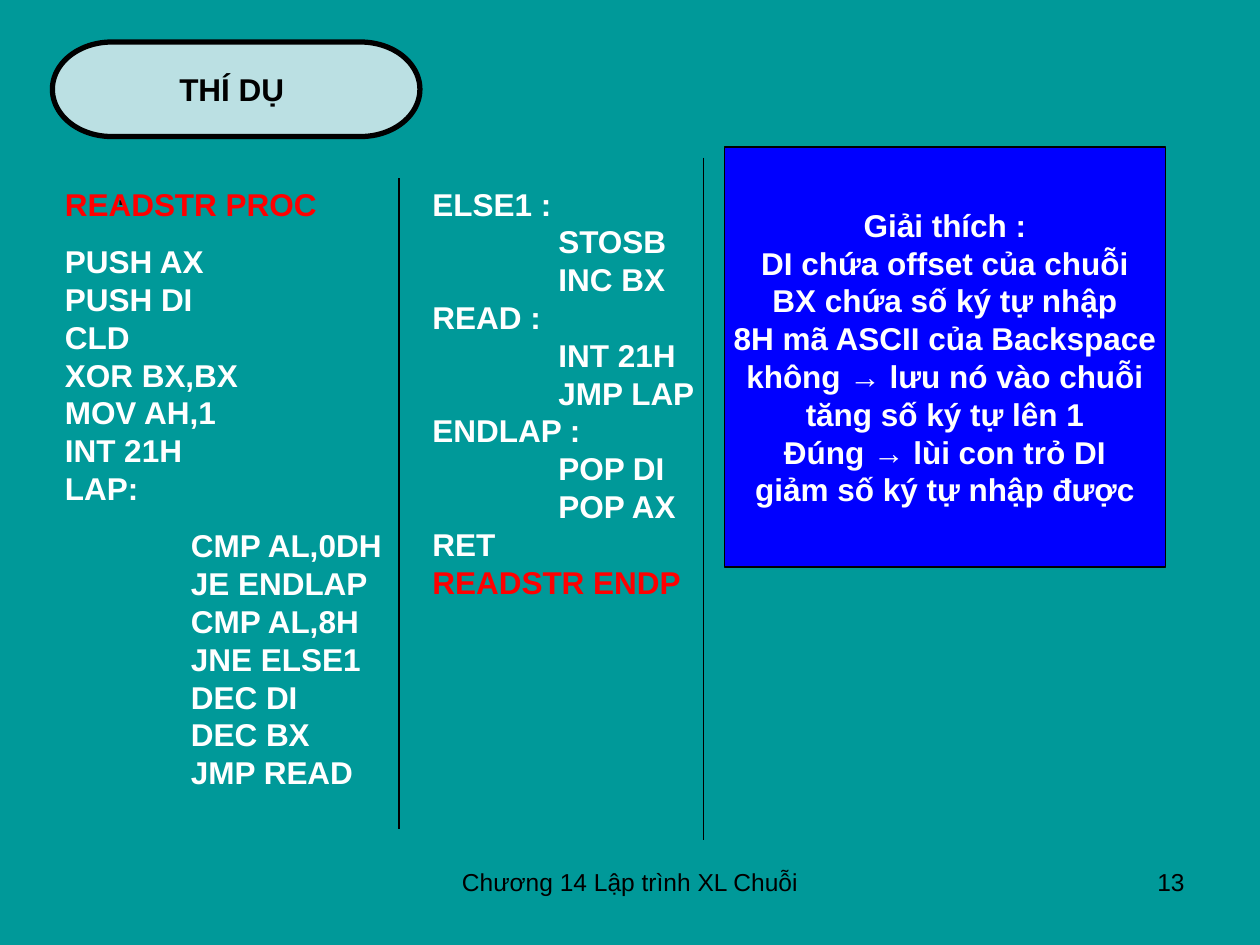
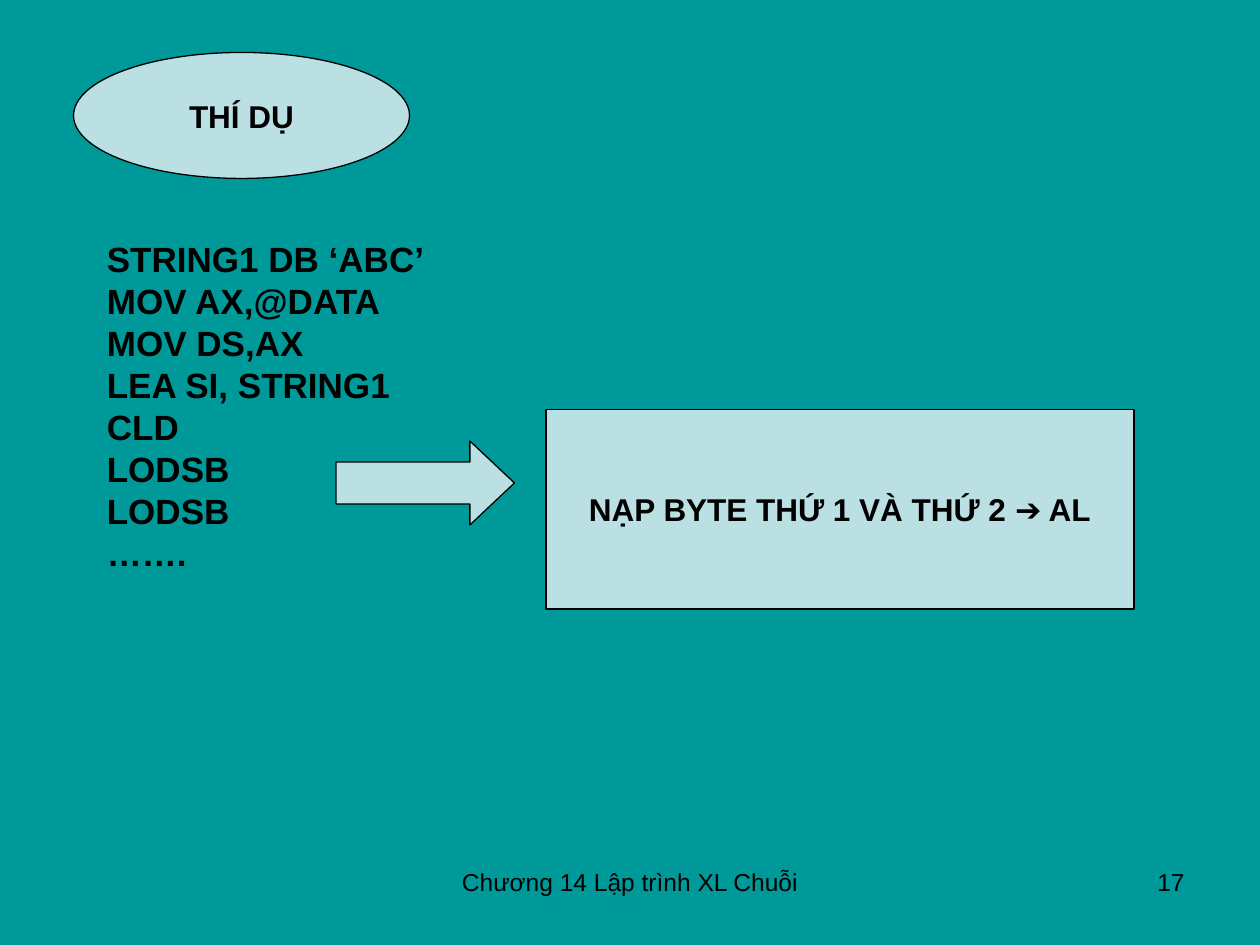
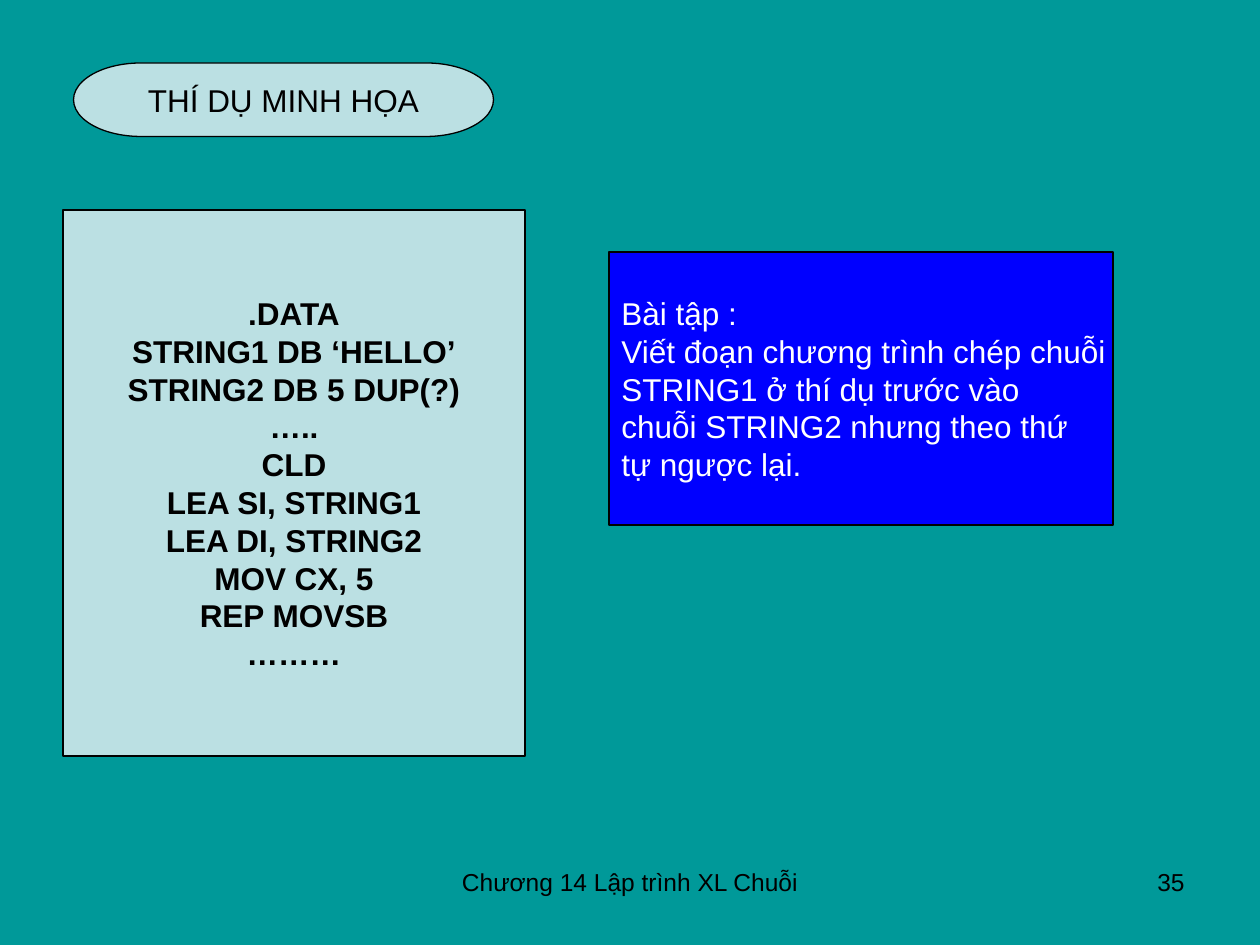
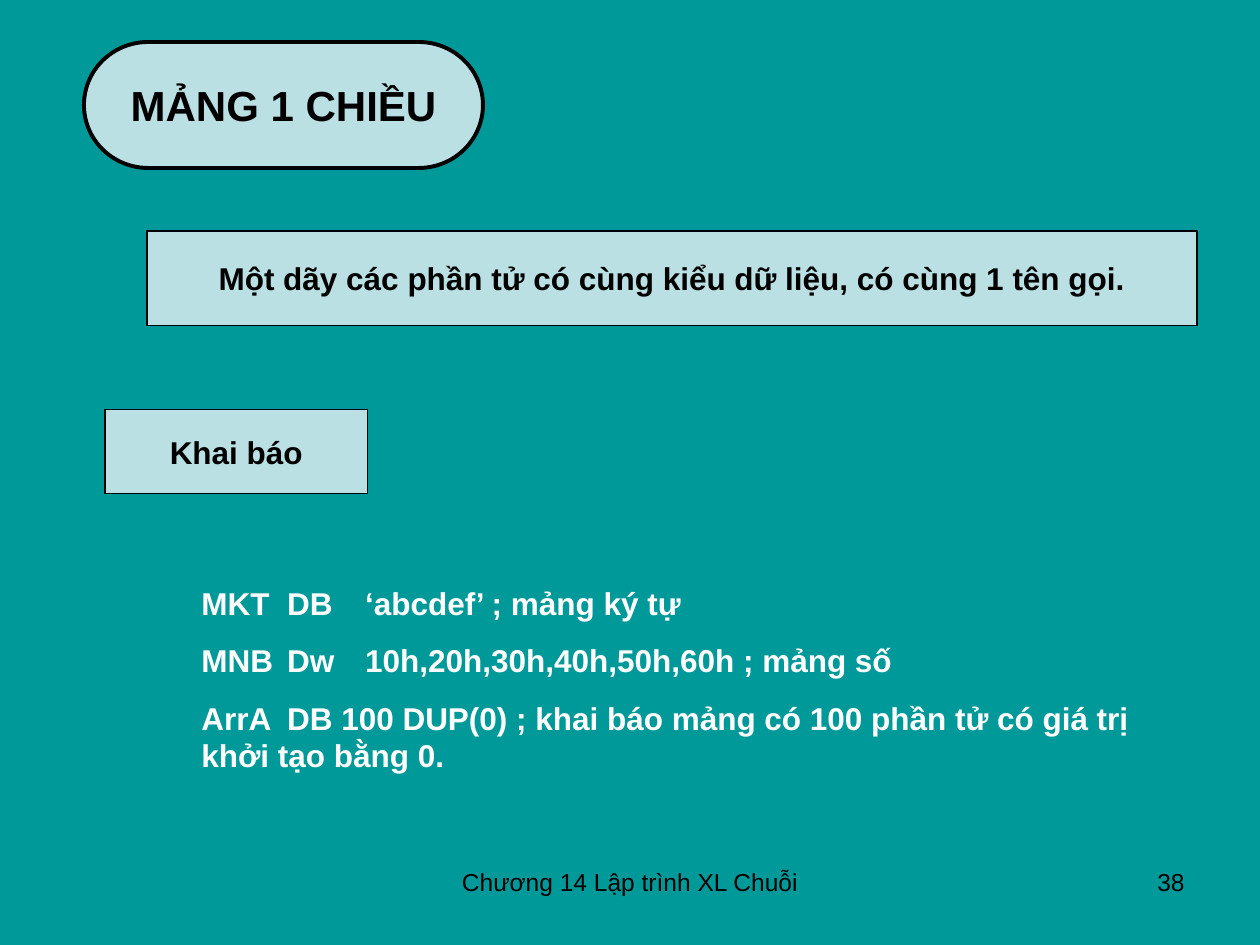
import dataclasses

import lxml.etree
import pptx
import pptx.dml.color
import pptx.enum.shapes
import pptx.enum.text
import pptx.oxml.ns
import pptx.util

SHAPES = pptx.enum.shapes.MSO_SHAPE
ALIGN = pptx.enum.text.PP_ALIGN
COLUMNS, ROWS = 120, 90


@dataclasses.dataclass(frozen=True)
class Theme:
    font: str = "Arial"
    background: str = "009999"
    panel: str = "BBE0E3"
    note: str = "0000FF"
    ink: str = "000000"
    light: str = "FFFFFF"
    keyword: str = "FF0000"
    footer_size: int = 14
    body_size: int = 18
    code_size: int = 20
    title_size: int = 24
    thin: float = 0.75
    medium: float = 2.25
    thick: float = 3
    gap: float = 11.25


THEME = Theme()


def rgb(value):
    return pptx.dml.color.RGBColor.from_string(value)


def set_format(target, values):
    for name, value in values.items():
        setattr(target, name, value)


class LectureDeck:
    """Holds the style and the current slide; places are grid columns and rows."""

    def __init__(self, theme, footer):
        self.theme = theme
        self.footer = footer
        self.deck = pptx.Presentation()
        self.deck.slide_width = pptx.util.Inches(10)
        self.deck.slide_height = pptx.util.Inches(7.5)
        self.page = None
        fill = self.deck.slide_master.background.fill
        fill.solid()
        fill.fore_color.rgb = rgb(theme.background)

    def grid(self, *lengths):
        """Turn alternating columns and rows into slide lengths."""
        units = (self.deck.slide_width / COLUMNS, self.deck.slide_height / ROWS)
        return [round(length * units[index % 2]) for index, length in enumerate(lengths)]

    def new_page(self, number):
        self.page = self.deck.slides.add_slide(self.deck.slide_layouts[6])
        small = {"size": self.theme.footer_size, "bold": False, "grow": False}
        self.text((41, 82, 38, 6.25), [[self.footer]], align=ALIGN.CENTER, **small)
        self.text((86, 82, 28, 6.25), [[str(number)]], align=ALIGN.RIGHT, **small)

    def fill_frame(self, frame, paras, size=None, color=None, bold=True,
                   align=ALIGN.LEFT, gap=0, tabs=()):
        """Set paragraphs, each a list of lines; a line is text or (text, colour)."""
        for index, lines in enumerate(paras):
            para = frame.add_paragraph() if index else frame.paragraphs[0]
            set_format(para, {"alignment": align,
                              "space_before": pptx.util.Pt(gap if index else 0)})
            if tabs:
                self.add_tabs(para, tabs)
            for position, line in enumerate(lines):
                if position:
                    para.add_line_break()
                words, tint = (line, color) if isinstance(line, str) else line
                span = para.add_run()
                span.text = words
                set_format(span.font, {"name": self.theme.font, "bold": bold,
                                       "size": pptx.util.Pt(size or self.theme.body_size)})
                span.font.color.rgb = rgb(tint or self.theme.ink)

    def add_tabs(self, para, stops):
        name = pptx.oxml.ns.qn
        tab_list = lxml.etree.SubElement(para._p.get_or_add_pPr(), name("a:tabLst"))
        for stop in stops:
            lxml.etree.SubElement(tab_list, name("a:tab"),
                                  pos=str(pptx.util.Inches(stop)), algn="l")

    def text(self, place, paras, grow=True, **style):
        box = self.page.shapes.add_textbox(*self.grid(*place))
        sizing = pptx.enum.text.MSO_AUTO_SIZE
        set_format(box.text_frame, {
            "word_wrap": True,
            "auto_size": sizing.SHAPE_TO_FIT_TEXT if grow else sizing.NONE})
        self.fill_frame(box.text_frame, paras, **style)

    def shape(self, kind, place, paras=(), fill=None, line=None, align=ALIGN.CENTER, **style):
        box = self.page.shapes.add_shape(kind, *self.grid(*place))
        box.shadow.inherit = False
        box.fill.solid()
        box.fill.fore_color.rgb = rgb(fill or self.theme.panel)
        box.line.color.rgb = rgb(self.theme.ink)
        box.line.width = pptx.util.Pt(line or self.theme.thin)
        set_format(box.text_frame, {
            "word_wrap": False, "vertical_anchor": pptx.enum.text.MSO_ANCHOR.MIDDLE})
        self.fill_frame(box.text_frame, paras, align=align, **style)
        return box

    def note(self, place, paras, **style):
        self.shape(SHAPES.RECTANGLE, place, paras, fill=self.theme.note,
                   color=self.theme.light, **style)

    def divider(self, column, top, bottom):
        rule = self.page.shapes.add_connector(
            pptx.enum.shapes.MSO_CONNECTOR.STRAIGHT, *self.grid(column, top, column, bottom))
        rule.line.color.rgb = rgb(self.theme.ink)
        rule.line.width = pptx.util.Pt(self.theme.thin)
        lxml.etree.SubElement(rule._element.spPr, pptx.oxml.ns.qn("a:effectLst"))


def add_read_string(deck):
    deck.new_page(13)
    deck.shape(SHAPES.FLOWCHART_TERMINATOR, (5, 4, 35, 9), [["THÍ DỤ "]], line=THEME.thick)
    deck.text((10, 16, 37, 4.8), [["."]])
    code = {"color": THEME.light, "gap": THEME.gap, "tabs": (1,)}
    deck.text((5, 17, 47, 64.4), [
        [("READSTR PROC", THEME.keyword)],
        ["PUSH AX", "PUSH DI", "CLD", "XOR BX,BX", "MOV AH,1", "INT 21H", "LAP:"],
        ["\tCMP AL,0DH", "\tJE ENDLAP", "\tCMP AL,8H", "\tJNE ELSE1",
         "\tDEC DI", "\tDEC BX", "\tJMP READ"],
    ], **code)
    deck.text((40, 17, 47, 40.8), [
        ["ELSE1 :", "\tSTOSB", "\tINC BX", "READ :", "\tINT 21H", "\tJMP LAP",
         "ENDLAP :", "\tPOP DI", "\tPOP AX", "RET", ("READSTR ENDP", THEME.keyword)],
    ], **code)
    deck.divider(38, 17, 79)
    deck.divider(67, 15, 80)
    deck.note((69, 14, 42, 40), [
        ["Giải thích :"],
        ["DI chứa offset của chuỗi", "BX chứa số ký tự nhập",
         "8H mã ASCII của Backspace", "không → lưu nó vào chuỗi",
         "tăng số ký tự lên 1", "Đúng → lùi con trỏ DI", "giảm số ký tự nhập được"],
    ])


def add_load_string(deck):
    deck.new_page(17)
    deck.shape(SHAPES.OVAL, (7, 5, 32, 12), [["THÍ DỤ"]])
    deck.text((9, 22, 42, 33.2), [
        ["STRING1 DB ‘ABC’", "MOV AX,@DATA", "MOV DS,AX", "LEA SI, STRING1",
         "CLD", "LODSB", "LODSB", "……."],
    ], size=THEME.code_size)
    arrow = deck.shape(SHAPES.RIGHT_ARROW, (32, 42, 17, 8))
    arrow.adjustments[1] = 0.53
    deck.shape(SHAPES.RECTANGLE, (52, 39, 56, 19), [["NẠP BYTE THỨ 1 VÀ THỨ 2 ➔ AL"]])


def add_copy_string(deck):
    deck.new_page(35)
    deck.shape(SHAPES.FLOWCHART_TERMINATOR, (7, 6, 40, 7), [["THÍ DỤ MINH HỌA"]], bold=False)
    deck.shape(SHAPES.RECTANGLE, (6, 20, 44, 52), [
        [".DATA", "STRING1 DB ‘HELLO’", "STRING2 DB 5 DUP(?)", "…..", "CLD",
         "LEA SI, STRING1", "LEA DI, STRING2", "MOV CX, 5", "REP MOVSB", "………"],
    ])
    deck.note((58, 24, 48, 26), [
        ["Bài tập :", "Viết đoạn chương trình chép chuỗi", "STRING1 ở thí dụ trước vào",
         "chuỗi STRING2 nhưng theo thứ", "tự ngược lại."],
    ], bold=False, align=ALIGN.LEFT)


def add_array(deck):
    deck.new_page(38)
    deck.shape(SHAPES.FLOWCHART_TERMINATOR, (8, 4, 38, 12), [["MẢNG 1 CHIỀU"]],
               line=THEME.medium, size=THEME.title_size)
    deck.shape(SHAPES.RECTANGLE, (14, 22, 100, 9),
               [["Một dãy các phần tử có cùng kiểu dữ liệu, có cùng 1 tên gọi."]])
    deck.shape(SHAPES.FLOWCHART_PROCESS, (10, 39, 25, 8), [["Khai báo"]])
    deck.text((18, 55, 92, 19.4), [
        ["MKT\tDB\t‘abcdef’ ; mảng ký tự"],
        ["MNB\tDw\t10h,20h,30h,40h,50h,60h ; mảng số"],
        ["ArrA\tDB 100 DUP(0) ; khai báo mảng có 100 phần tử có giá trị khởi tạo bằng 0."],
    ], color=THEME.light, gap=THEME.gap, tabs=(0.68, 1.3))


def main():
    deck = LectureDeck(THEME, "Chương 14 Lập trình XL Chuỗi")
    for add_page in (add_read_string, add_load_string, add_copy_string, add_array):
        add_page(deck)
    deck.deck.save("out.pptx")


if __name__ == "__main__":
    main()
